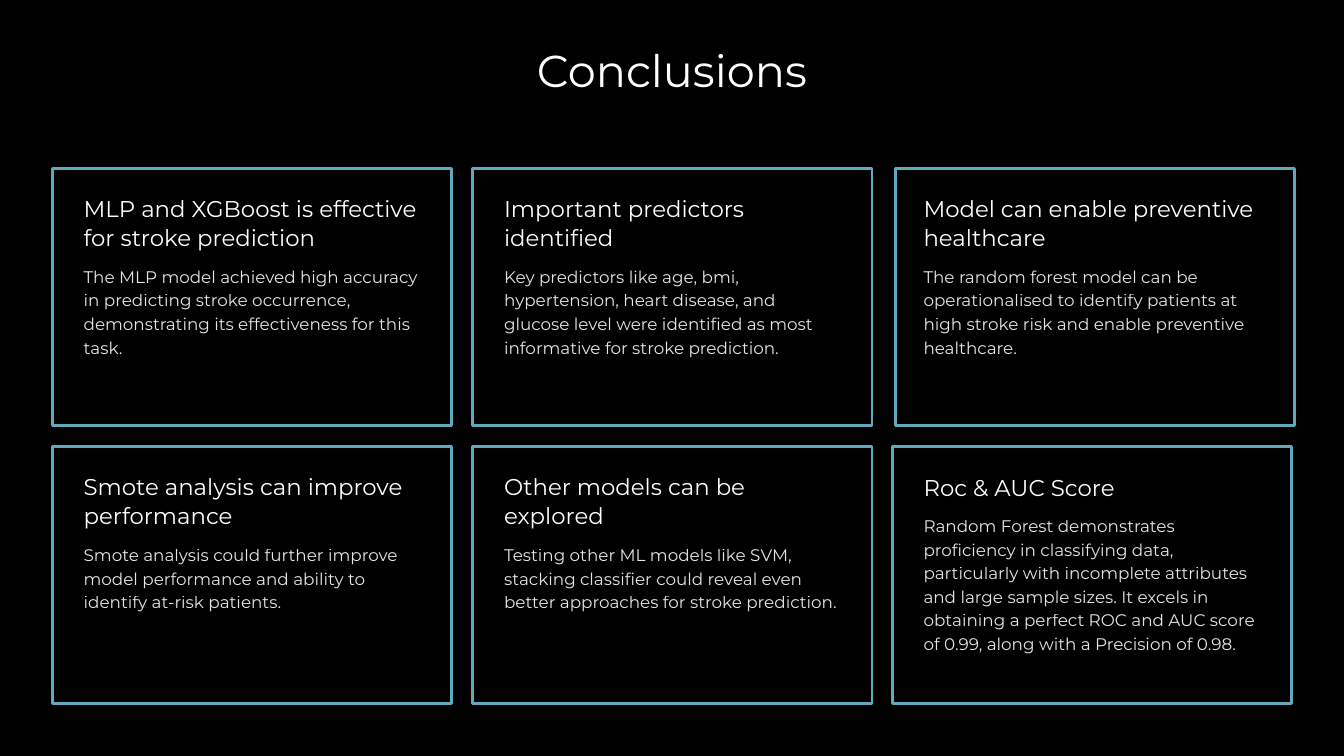
from pptx import Presentation
from pptx.dml.color import RGBColor
from pptx.enum.shapes import MSO_SHAPE
from pptx.enum.text import PP_ALIGN
from pptx.oxml.ns import qn
from pptx.util import Inches, Pt
from lxml import etree

BLACK = RGBColor(0x00, 0x00, 0x00)
WHITE = RGBColor(0xFF, 0xFF, 0xFF)
TEAL = RGBColor(0x62, 0xA8, 0xBB)

presentation = Presentation()
presentation.slide_width = Inches(13.33)
presentation.slide_height = Inches(7.5)
slide = presentation.slides.add_slide(presentation.slide_layouts[6])
slide.background.fill.solid()
slide.background.fill.fore_color.rgb = BLACK


def add_text(left, top, width, height, text, size, line_spacing):
    frame = slide.shapes.add_textbox(
        Inches(left), Inches(top), Inches(width), Inches(height)).text_frame
    frame.word_wrap = True
    frame.margin_left = frame.margin_right = 0
    frame.margin_top = frame.margin_bottom = 0
    frame.text = text
    paragraph = frame.paragraphs[0]
    paragraph.line_spacing = Pt(line_spacing)
    run = paragraph.runs[0]
    run.font.name = "Montserrat"
    run.font.size = Pt(size)
    run.font.color.rgb = WHITE
    return paragraph


title = add_text(0, 0.4, 13.33, 0.56, "Conclusions", 31.9, 40.2)
title.alignment = PP_ALIGN.CENTER

conclusions = [
    ("MLP and XGBoost is effective for stroke prediction", 2,
     "The MLP model achieved high accuracy in predicting stroke occurrence, "
     "demonstrating its effectiveness for this task.", 4),
    ("Important predictors identified", 2,
     "Key predictors like age, bmi, hypertension, heart disease, and glucose "
     "level were identified as most informative for stroke prediction.", 4),
    ("Model can enable preventive healthcare", 2,
     "The random forest model can be operationalised to identify patients at "
     "high stroke risk and enable preventive healthcare.", 4),
    ("Smote analysis can improve performance", 2,
     "Smote analysis could further improve model performance and ability to "
     "identify at-risk patients.", 3),
    ("Other models can be explored", 2,
     "Testing other ML models like SVM, stacking classifier could reveal even "
     "better approaches for stroke prediction.", 3),
    ("Roc & AUC Score", 1,
     "Random Forest demonstrates proficiency in classifying data, particularly "
     "with incomplete attributes and large sample sizes. It excels in obtaining "
     "a perfect ROC and AUC score of 0.99, along with a Precision of 0.98.", 6),
]
card_lefts = [(0.52, 4.69, 8.88), (0.52, 4.69, 8.85)]
text_lefts = (0.83, 5, 9.16)

for index, (heading, heading_lines, finding, finding_lines) in enumerate(conclusions):
    row, column = divmod(index, 3)
    card_top = 1.67 + 2.76 * row
    card = slide.shapes.add_shape(
        MSO_SHAPE.RECTANGLE, Inches(card_lefts[row][column]), Inches(card_top),
        Inches(3.96), Inches(2.55))
    card.shadow.inherit = False
    card.fill.background()
    card.line.color.rgb = TEAL
    card.line.width = Pt(2)

    heading_top = card_top + 0.25
    heading_height = 20.6 / 72 * heading_lines
    add_text(text_lefts[column], heading_top, 3.34, heading_height,
             heading, 16.3, 20.6)
    body = add_text(text_lefts[column], heading_top + heading_height + 0.12, 3.34,
                    16.8 / 72 * finding_lines, finding, 12, 16.8)
    body_color = body.runs[0].font.fill._xPr.find(".//" + qn("a:srgbClr"))
    etree.SubElement(body_color, qn("a:alpha")).set("val", "90000")

presentation.save("out.pptx")
